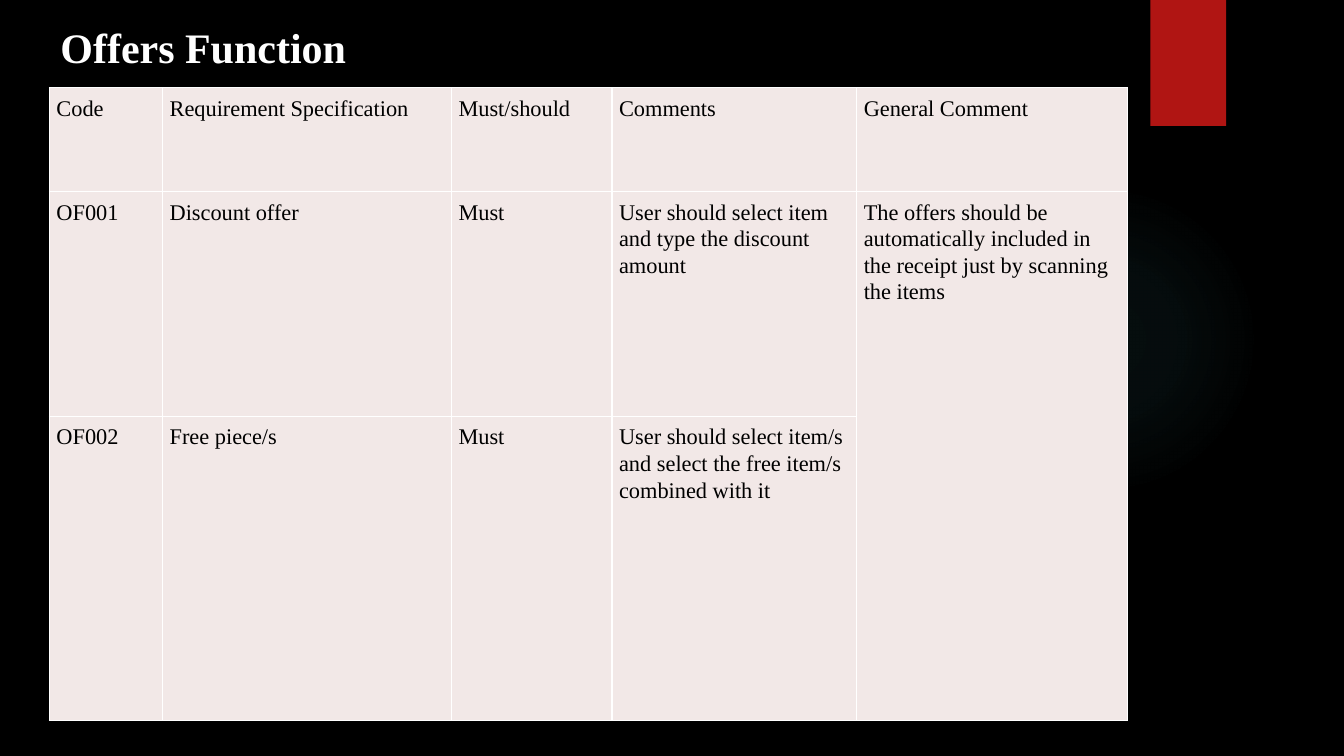
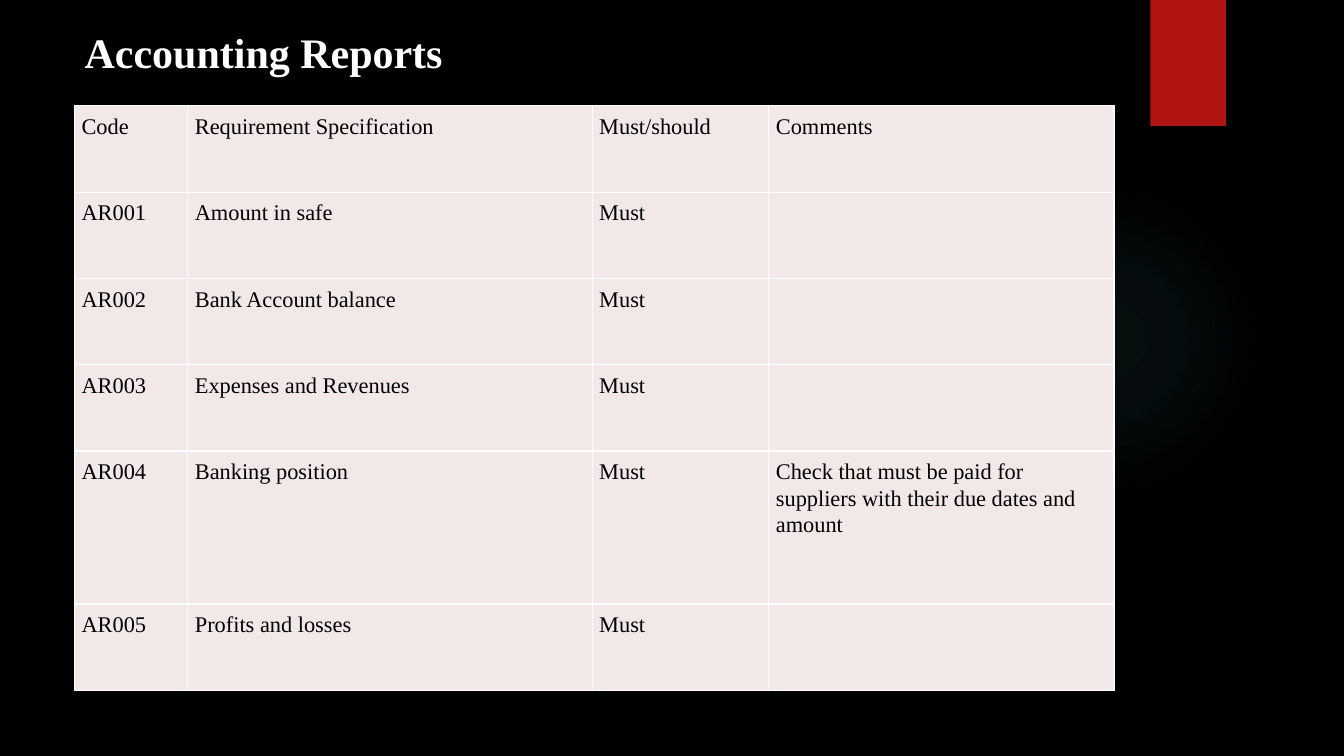
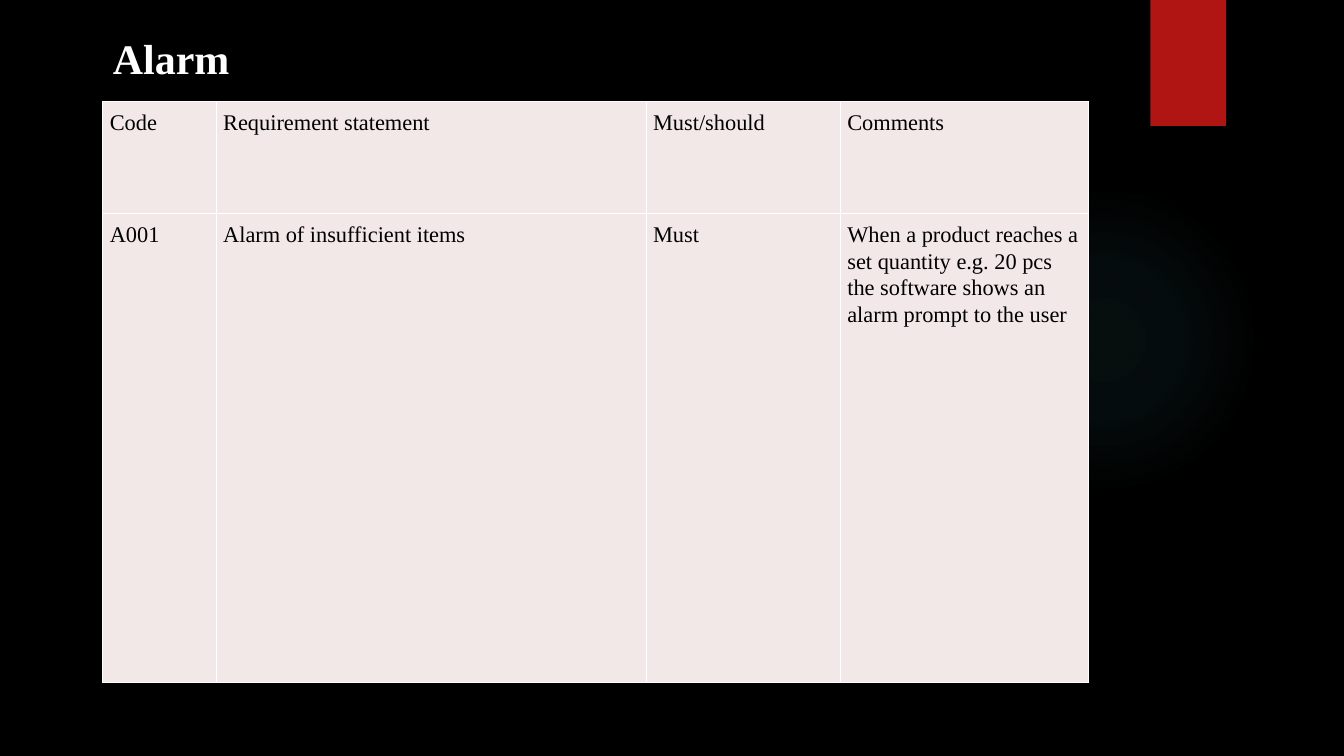
from pptx import Presentation, util as u
from pptx.dml.color import RGBColor
from pptx.enum import shapes, text
from pptx.oxml import parse_xml
from pptx.oxml.ns import nsdecls

WIDE, HIGH = u.Inches(13.33), u.Inches(7.5)
FACE = "Times New Roman"
BLACK, WHITE, RED, TEAL, PINK = "000000", "FFFFFF", "B01513", "50B9C1", "F2E8E7"


def hue(code):
    return RGBColor.from_string(code)


def at(x, y, w, h):
    """Turn percentages of the slide into a box."""
    return [round(WIDE * x / 100), round(HIGH * y / 100),
            round(WIDE * w / 100), round(HIGH * h / 100)]


def split(items, sizes, total):
    """Share a length out over columns or rows."""
    key = "width" if hasattr(items[0], "width") else "height"
    for item, size in zip(items, sizes):
        setattr(item, key, round(total * size / sum(sizes)))


def style(para, size, code, bold=False):
    para.line_spacing = 1.07
    para.alignment = text.PP_ALIGN.LEFT
    font = para.font
    font.name, font.size, font.bold = FACE, u.Pt(size), bold
    font.color.rgb = hue(code)


# Shared backdrop, kept on the layout
def plain(slide, kind, box):
    shape = slide.shapes.add_shape(kind, *box)
    shape.shadow.inherit = False
    shape.line.fill.background()
    return shape


def glow(shape):
    stops = "".join(
        f'<a:gs pos="{pos * 1000}"><a:srgbClr val="{TEAL}">'
        f'<a:alpha val="{alpha * 1000}"/></a:srgbClr></a:gs>'
        for pos, alpha in ((0, 7), (36, 6), (69, 0)))
    grad = parse_xml(
        f'<a:gradFill {nsdecls("a")}><a:gsLst>{stops}</a:gsLst>'
        '<a:path path="circle"><a:fillToRect l="50000" t="50000" '
        'r="50000" b="50000"/></a:path></a:gradFill>')
    shape.fill.background()
    props = shape.element.spPr
    props.replace(props.find("{*}noFill"), grad)


def backdrop(layout, slide):
    layout.background.fill.solid()
    layout.background.fill.fore_color.rgb = hue(BLACK)
    halo = plain(slide, shapes.MSO_SHAPE.OVAL, at(70.59, 24.4, 23.11, 41.07))
    glow(halo)
    tab = plain(slide, shapes.MSO_SHAPE.RECTANGLE, at(85.6, 0, 5.63, 16.67))
    tab.fill.solid()
    tab.fill.fore_color.rgb = hue(RED)
    for step, shape in enumerate((halo, tab)):
        shape.element.nvSpPr.cNvPr.id = 20 + step
        layout.shapes.element.insert(2 + step, shape.element)


# Title and table
def head(slide, words, left, top):
    title = slide.shapes.title
    title.left, title.top, title.width, title.height = at(left, top, 52, 8.27)
    frame = title.text_frame
    frame.text = words
    frame.auto_size = text.MSO_AUTO_SIZE.NONE
    frame.vertical_anchor = text.MSO_ANCHOR.TOP
    style(frame.paragraphs[0], 30, WHITE, True)


def border(cell):
    props = cell._tc.get_or_add_tcPr()
    for side in "LRTB":
        props.append(parse_xml(
            f'<a:ln{side} {nsdecls("a")} w="12700"><a:solidFill>'
            f'<a:srgbClr val="{WHITE}"/></a:solidFill></a:ln{side}>'))


def fill(cell, words):
    cell.margin_left = cell.margin_right = u.Inches(0.07)
    cell.margin_top = cell.margin_bottom = u.Inches(0.07)
    border(cell)
    cell.fill.solid()
    cell.fill.fore_color.rgb = hue(PINK)
    cell.text = words
    style(cell.text_frame.paragraphs[0], 16, BLACK)


def grid(slide, box, cols, rows, data):
    frame = slide.shapes.add_table(len(rows), len(cols), *box)
    table = frame.table
    table.first_row = table.horz_banding = False
    split(table.columns, cols, box[2])
    split(table.rows, rows, box[3])
    for r, line in enumerate(data):
        for c, words in enumerate(line):
            fill(table.cell(r, c), words)
    return table


def main():
    deck = Presentation()
    deck.slide_width, deck.slide_height = WIDE, HIGH
    layout = deck.slide_layouts[5]
    offers, books, alarm = [deck.slides.add_slide(layout) for _ in range(3)]
    backdrop(layout, offers)

    # Offers
    head(offers, "Offers Function", 3.75, 1.73)
    table = grid(
        offers, at(3.68, 11.6, 80.2, 83.73),
        [10.5, 26.8, 14.9, 22.7, 25.1], [16.4, 35.5, 48.1],
        [["Code", "Requirement Specification", "Must/should", "Comments",
          "General Comment"],
         ["OF001", "Discount offer", "Must",
          "User should select item and type the discount amount",
          "The offers should be automatically included in the receipt "
          "just by scanning the items"],
         ["OF002", "Free piece/s", "Must",
          "User should select item/s and select the free item/s "
          "combined with it", ""]])
    table.cell(1, 4).merge(table.cell(2, 4))

    # Accounting
    head(books, "Accounting Reports", 5.55, 2.4)
    grid(
        books, at(5.55, 14, 77.34, 77.33),
        [10.9, 38.9, 17, 33.2], [14.76] * 4 + [26.2, 14.76],
        [["Code", "Requirement Specification", "Must/should", "Comments"],
         ["AR001", "Amount in safe", "Must", ""],
         ["AR002", "Bank Account balance", "Must", ""],
         ["AR003", "Expenses and Revenues", "Must", ""],
         ["AR004", "Banking position", "Must",
          "Check that must be paid for suppliers with their due dates "
          "and amount"],
         ["AR005", "Profits and losses", "Must", ""]])

    # Alarm
    head(alarm, "Alarm", 7.65, 3.2)
    grid(
        alarm, at(7.65, 13.47, 73.37, 76.8),
        [11.5, 43.6, 19.7, 25.2], [19.3, 80.7],
        [["Code", "Requirement statement", "Must/should", "Comments"],
         ["A001", "Alarm of insufficient items", "Must",
          "When a product reaches a set quantity e.g. 20 pcs the software "
          "shows an alarm prompt to the user"]])

    deck.save("out.pptx")


if __name__ == "__main__":
    main()
